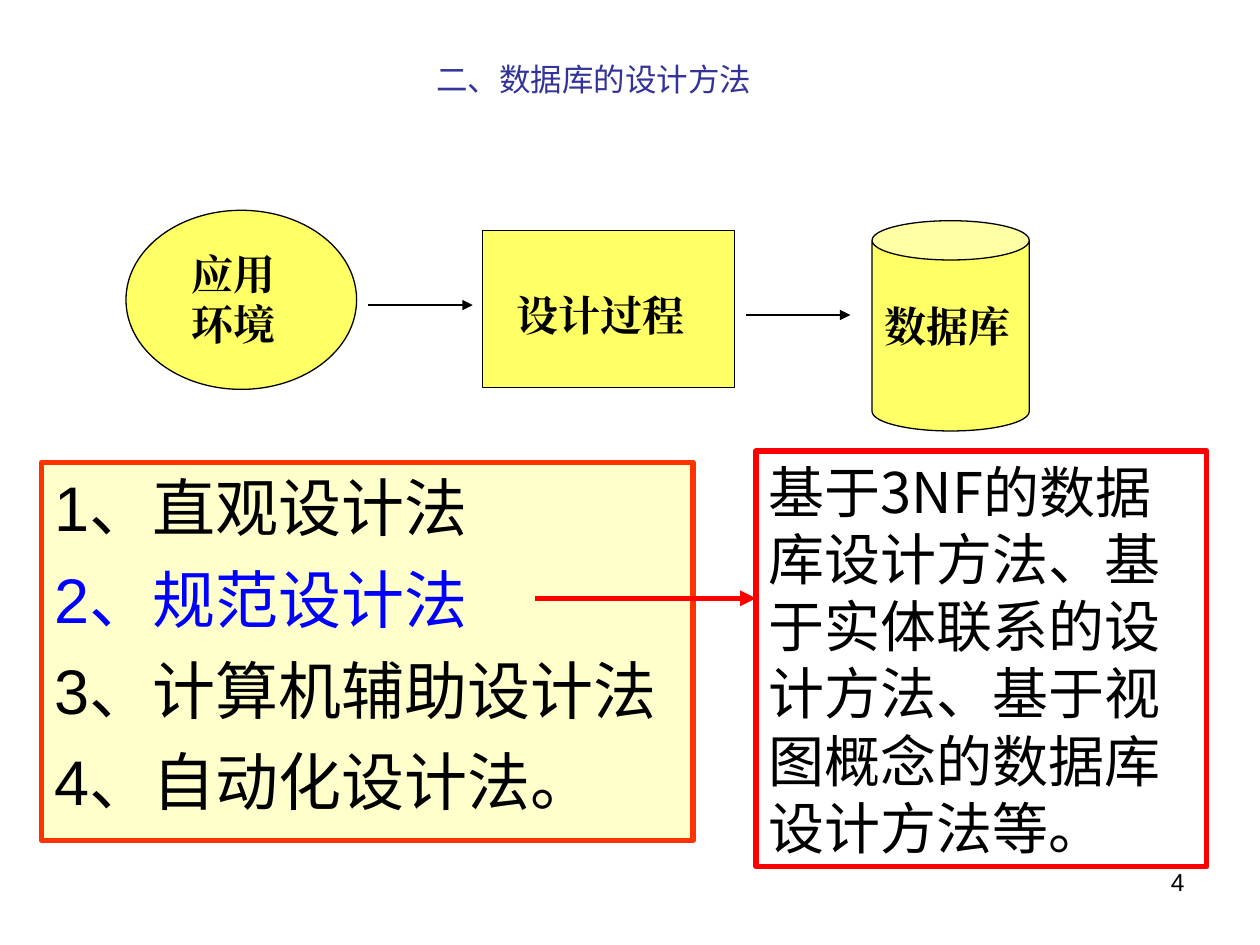
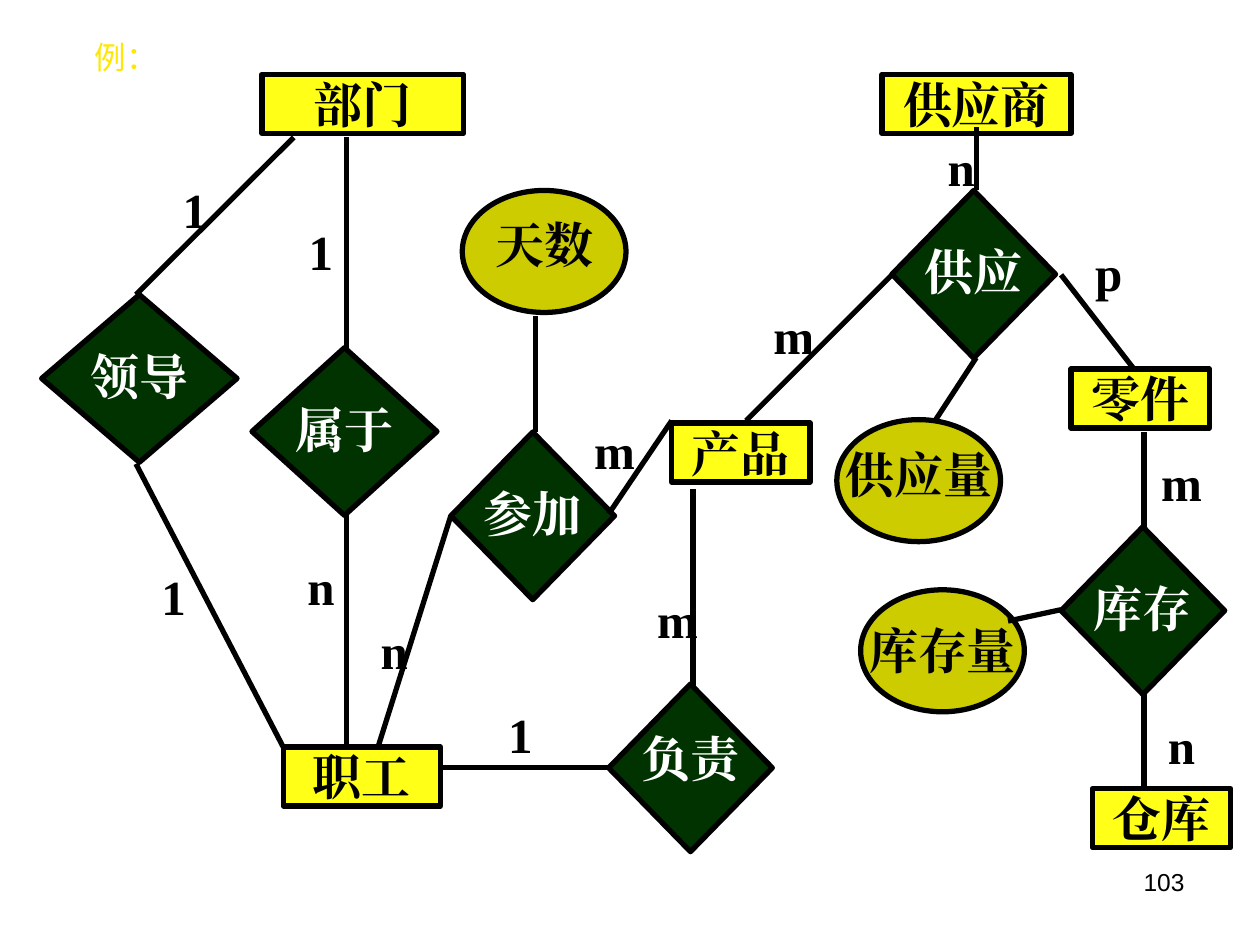
from lxml import etree
from pptx import Presentation
from pptx import util as u
from pptx.dml.color import RGBColor
from pptx.enum import lang, shapes, text
from pptx.oxml import ns

COLORS = {
    "black": "000000", "white": "FFFFFF", "title": "333399", "example": "FFE701",
    "flow": "FFFF66", "list": "FFFFCC", "list_edge": "FF3300", "red": "FF0000",
    "blue": "0000FF", "entity": "FFFF17", "relation": "003300", "attribute": "CCCC00",
}
SERIF, SANS = "Times New Roman", "Arial"
TITLE_FONT, NOTE_FONT = "Noto Sans CJK SC", "Noto Sans CJK JP"
LEFT, CENTER, RIGHT = text.PP_ALIGN.LEFT, text.PP_ALIGN.CENTER, text.PP_ALIGN.RIGHT
SHAPE = shapes.MSO_SHAPE
THIN, THICK = 0.75, 3
LABEL_HEIGHT = 0.47


def cm(inches):
    return u.Cm(round(inches * 2.54, 2))


def color(name):
    return RGBColor.from_string(COLORS[name])


def write(box, lines, size=24, font=SERIF, east=None, fill="black", bold=False,
          align=LEFT, inset=True, wrap=True, before=0):
    frame = box.text_frame
    frame.auto_size = text.MSO_AUTO_SIZE.NONE
    frame.word_wrap = wrap
    frame.vertical_anchor = text.MSO_ANCHOR.TOP
    frame.margin_left = frame.margin_right = cm(0.1 if inset else 0)
    frame.margin_top = frame.margin_bottom = cm(0.05 if inset else 0)
    lines = [(lines, fill)] if isinstance(lines, str) else lines
    for index, (words, tint) in enumerate(lines):
        para = frame.add_paragraph() if index else frame.paragraphs[0]
        para.alignment = align
        para.line_spacing = u.Pt(round(size * 1.2, 1))
        para.space_before = u.Pt(before)
        span = para.add_run()
        span.text = words
        span.font.name = font
        span.font.size = u.Pt(size)
        span.font.bold = bold
        span.font.color.rgb = color(tint)
        span.font.language_id = lang.MSO_LANGUAGE_ID.SIMPLIFIED_CHINESE
        east_font = etree.SubElement(span.font._element, ns.qn("a:ea"))
        east_font.set("typeface", east or font)


def add_text(page, place, words, **style):
    box = page.shapes.add_textbox(*map(cm, place))
    write(box, words, **style)
    return box


def add_shape(page, kind, place, fill, edge="black", width=THIN):
    shape = page.shapes.add_shape(kind, *map(cm, place))
    shape.shadow.inherit = False
    shape.fill.solid()
    shape.fill.fore_color.rgb = color(fill)
    shape.line.color.rgb = color(edge)
    shape.line.width = u.Pt(width)
    return shape


def add_line(page, start, end, tint="black", width=THICK, arrow=False):
    line = page.shapes.add_connector(
        shapes.MSO_CONNECTOR.STRAIGHT, *map(cm, start + end))
    line.line.color.rgb = color(tint)
    line.line.width = u.Pt(width)
    if arrow:
        tail = etree.SubElement(line.line._get_or_add_ln(), ns.qn("a:tailEnd"))
        tail.set("type", "triangle")
    etree.SubElement(line._element.spPr, ns.qn("a:effectLst"))


def add_page(deck, title, place, tint, number):
    page = deck.slides.add_slide(deck.slide_layouts[5])
    heading = page.shapes.title
    heading.left, heading.top, heading.width, heading.height = map(cm, place)
    write(heading, title, size=18, font=TITLE_FONT, fill=tint, align=CENTER, wrap=False)
    add_text(page, (7.17, 6.83, 2.33, 0.52), number, size=14, font=SANS, align=RIGHT)
    return page


def add_label(page, left, top, width, words, fill="black"):
    add_text(page, (left, top, width, LABEL_HEIGHT), words, size=28, bold=True,
             fill=fill, align=CENTER, inset=False)


def add_entity(page, left, top, width, name):
    box = add_shape(page, SHAPE.RECTANGLE, (left, top, width, LABEL_HEIGHT),
                    "entity", width=THICK)
    write(box, name, size=28, bold=True, align=CENTER, inset=False)


def build_methods(deck):
    page = add_page(deck, "二、数据库的设计方法", (1.5, 0.42, 6.42, 0.92), "title", "4")
    methods = add_shape(page, SHAPE.RECTANGLE, (0.33, 3.67, 5.17, 3),
                        "list", "list_edge", THICK)
    write(methods, [("1、直观设计法", "black"), ("2、规范设计法", "blue"),
                    ("3、计算机辅助设计法", "black"), ("4、自动化设计法。", "black")],
          size=36, font=SANS, before=9)

    stages = [
        (SHAPE.OVAL, (1, 1.67, 1.83, 1.42), (1.42, 1.92, 1, 0.9), "应用环境"),
        (SHAPE.RECTANGLE, (3.83, 1.83, 2, 1.25), (4, 2.25, 1.58, 0.5), "设计过程"),
        (SHAPE.CAN, (6.92, 1.75, 1.25, 1.67), (6.92, 2.33, 1.33, 0.5), "数据库"),
    ]
    for kind, place, label_place, name in stages:
        add_shape(page, kind, place, "flow")
        add_text(page, label_place, name, bold=True)
    for left, top in [(2.92, 2.42), (5.92, 2.5)]:
        add_line(page, (left, top), (left + 0.83, top), width=THIN, arrow=True)

    note = add_shape(page, SHAPE.RECTANGLE, (6, 3.58, 3.58, 3.3), "white", "red", THICK)
    write(note, "基于3NF的数据库设计方法、基于实体联系的设计方法、"
                "基于视图概念的数据库设计方法等。", size=32, font=NOTE_FONT, east=SANS)
    add_line(page, (4.25, 4.75), (6, 4.75), "red", arrow=True)


def build_diagram(deck):
    page = add_page(deck, "例：", (0.5, 0.25, 1, 1.17), "example", "103")
    entities = [
        (2.08, 0.59, 1.6, "部门"), (2.25, 5.93, 1.25, "职工"), (5.33, 3.36, 1.1, "产品"),
        (8.5, 2.93, 1.1, "零件"), (7, 0.59, 1.5, "供应商"), (8.67, 6.26, 1.1, "仓库"),
    ]
    relations = [
        (0.33, 2.34, 1.55, 0.41, "领导"), (2, 2.76, 1.47, 0.41, "属于"),
        (3.58, 3.43, 1.3, 0.41, "参加"), (4.83, 5.43, 1.3, 0.35, "负责"),
        (7.08, 1.51, 1.3, 0.41, "供应"), (8.42, 4.18, 1.3, 0.41, "库存"),
    ]
    attributes = [
        (3.67, 1.51, 1.3, 0.19, "天数"), (6.64, 3.33, 1.3, 0.2, "供应量"),
        (6.83, 4.68, 1.3, 0.25, "库存量"),
    ]
    links = [
        ((1.08, 3.68), (2.25, 5.93)), ((2.75, 2.76), (2.75, 1.09)),
        ((2.75, 5.93), (2.75, 4.09)), ((1.08, 2.34), (2.33, 1.09)),
        ((3.5, 6.09), (4.83, 6.09)), ((3.58, 4.09), (3, 5.93)),
        ((4.25, 2.51), (4.25, 3.43)), ((5.5, 3.88), (5.5, 5.46)),
        ((5.33, 3.34), (4.83, 4.08)), ((7.75, 1.01), (7.75, 1.51)),
        ((7.08, 2.18), (5.92, 3.34)), ((7.75, 2.84), (7.42, 3.34)),
        ((8.42, 2.18), (9, 2.93)), ((9.08, 3.43), (9.08, 4.18)),
        ((9.08, 5.51), (9.08, 6.26)), ((8.42, 4.84), (8, 4.93)),
    ]
    cardinalities = [
        (2.25, 1.76, "1"), (1.08, 4.5, "1"), (5.08, 4.68, "m"), (2.25, 4.42, "n"),
        (3.83, 5.59, "1"), (1.25, 1.43, "1"), (7.33, 1.09, "n"), (9.08, 5.68, "n"),
        (2.83, 4.93, "n"), (6, 2.43, "m"), (9.08, 3.59, "m"), (4.58, 3.34, "m"),
        (8.5, 1.93, "p"),
    ]
    for entity in entities:
        add_entity(page, *entity)
    node_styles = [
        (relations, SHAPE.DIAMOND, 1.33, "relation", "white"),
        (attributes, SHAPE.OVAL, 0.97, "attribute", "black"),
    ]
    for nodes, kind, height, fill, _ in node_styles:
        for left, top, width, _, _ in nodes:
            add_shape(page, kind, (left, top, width, height), fill, width=THICK)
    for start, end in links:
        add_line(page, start, end)
    for left, top, mark in cardinalities:
        add_label(page, left, top, 0.6, mark)
    for nodes, _, _, _, ink in node_styles:
        for left, top, width, drop, name in nodes:
            add_label(page, left, top + drop, width, name, ink)


def main():
    deck = Presentation()
    deck.slide_width, deck.slide_height = cm(10), cm(7.5)
    build_methods(deck)
    build_diagram(deck)
    deck.save("out.pptx")


main()
